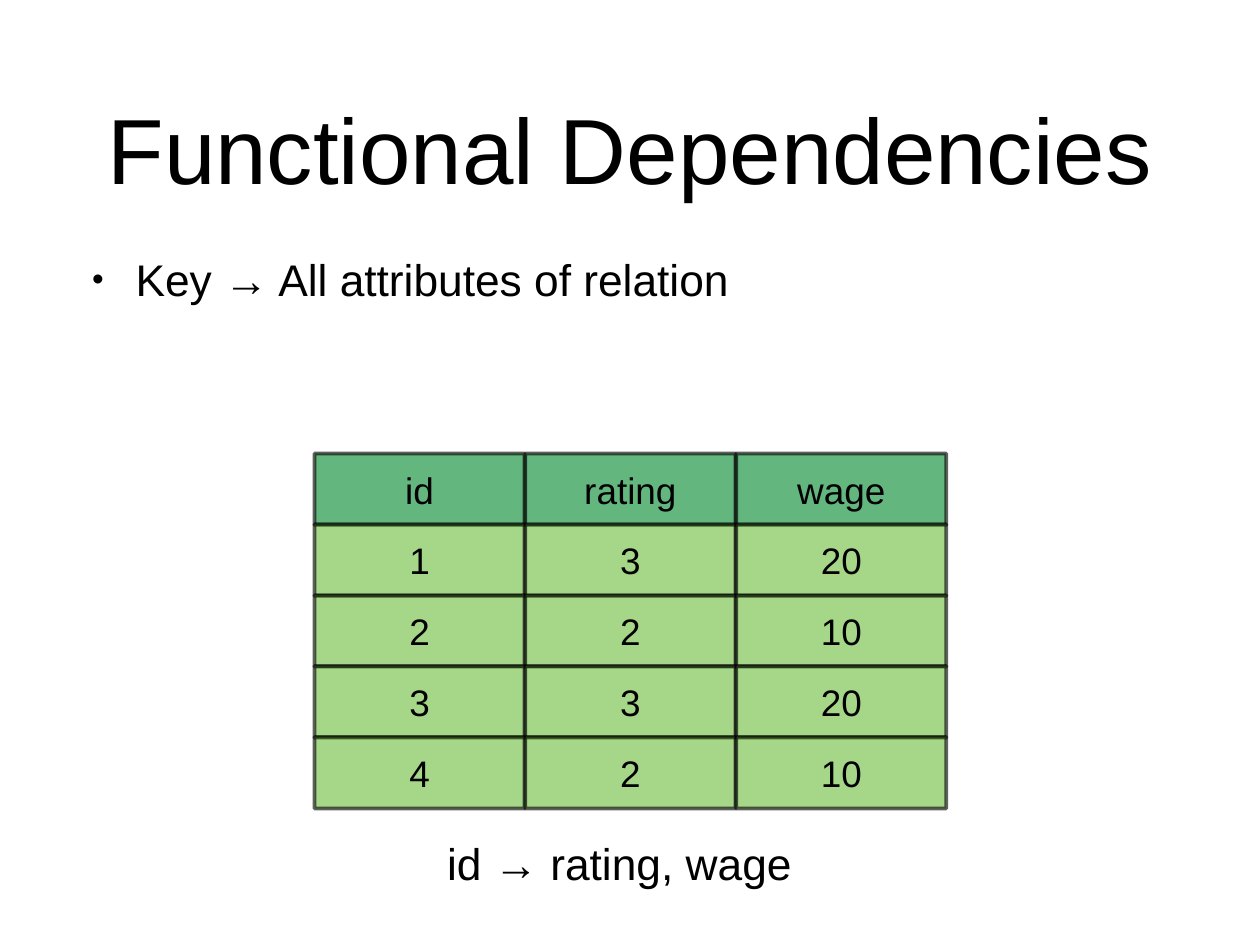
from lxml import etree
from pptx import Presentation
from pptx.dml.color import RGBColor
from pptx.enum import shapes, text
from pptx.oxml import ns
from pptx.util import Inches, Pt

FONT = "Arial"
BLACK = "000000"
HEADER_GREEN = "00882B"
ROW_GREEN = "70BF41"
GRID_LEFT, GRID_TOP = 3.55, 5.12
COLUMN_STEP, ROW_STEP = 2.38, 0.8
CELL_WIDTH, CELL_HEIGHT = 2.37, 0.81
RELATION = [
    ("id", "rating", "wage"),
    ("1", "3", "20"),
    ("2", "2", "10"),
    ("3", "3", "20"),
    ("4", "2", "10"),
]


def paint(fill, hex_value, opacity=100):
    fill.solid()
    fill.fore_color.rgb = RGBColor.from_string(hex_value)
    if opacity < 100:
        tint = fill._xPr.find(ns.qn("a:solidFill"))[0]
        etree.SubElement(tint, ns.qn("a:alpha"), val=str(opacity * 1000))


def place(part, left, top, width, height):
    part.left, part.top = Inches(left), Inches(top)
    part.width, part.height = Inches(width), Inches(height)


def write(frame, content, size, align, anchor=text.MSO_ANCHOR.MIDDLE, margin=0):
    frame.margin_left = frame.margin_right = Inches(margin)
    frame.margin_top = frame.margin_bottom = Inches(margin)
    frame.auto_size = text.MSO_AUTO_SIZE.NONE
    frame.vertical_anchor = anchor
    frame.text = content
    paragraph = frame.paragraphs[0]
    paragraph.alignment = align
    font = paragraph.runs[0].font
    font.name, font.size = FONT, Pt(size)
    paint(font.fill, BLACK)
    return paragraph


def add_title(slide, content):
    title = slide.shapes.title
    place(title, 1.04, 0.49, 12.14, 2.36)
    write(title.text_frame, content, 75.2, text.PP_ALIGN.CENTER)


def add_bullet(slide, content):
    body = slide.placeholders[1]
    place(body, 1.04, 2.85, 12.14, 2.07)
    paragraph = write(body.text_frame, content, 36, text.PP_ALIGN.LEFT,
                      text.MSO_ANCHOR.TOP)
    paragraph.space_before = Pt(42)
    properties = paragraph._p.get_or_add_pPr()
    properties.set("marL", str(Inches(0.49)))
    properties.set("indent", str(Inches(-0.49)))
    etree.SubElement(properties, ns.qn("a:buSzPct")).set("val", "75000")
    etree.SubElement(properties, ns.qn("a:buChar")).set("char", "•")


def add_cell(group, left, top, value, green, opacity):
    cell = group.shapes.add_shape(
        shapes.MSO_SHAPE.RECTANGLE, Inches(left), Inches(top),
        Inches(CELL_WIDTH), Inches(CELL_HEIGHT))
    cell.shadow.inherit = False
    paint(cell.fill, green, opacity)
    cell.line.width = Pt(3)
    paint(cell.line.fill, BLACK, opacity)
    write(cell.text_frame, value, 30, text.PP_ALIGN.CENTER)


def add_relation(slide, rows):
    group = slide.shapes.add_group_shape()
    for row, values in enumerate(rows):
        green, opacity = (ROW_GREEN, 62) if row else (HEADER_GREEN, 61)
        for column, value in enumerate(values):
            add_cell(group, GRID_LEFT + column * COLUMN_STEP,
                     GRID_TOP + row * ROW_STEP, value, green, opacity)


def add_caption(slide, content):
    caption = slide.shapes.add_textbox(
        Inches(4.94), Inches(9.38), Inches(4.24), Inches(0.72))
    frame = caption.text_frame
    write(frame, content, 36, text.PP_ALIGN.CENTER, margin=0.06)
    frame.word_wrap = False
    frame.auto_size = text.MSO_AUTO_SIZE.SHAPE_TO_FIT_TEXT


def main():
    deck = Presentation()
    deck.slide_width, deck.slide_height = Inches(14.22), Inches(10.67)
    slide = deck.slides.add_slide(deck.slide_layouts[1])
    add_title(slide, "Functional Dependencies")
    add_bullet(slide, "Key → All attributes of relation")
    add_relation(slide, RELATION)
    add_caption(slide, "id → rating, wage ")
    deck.save("out.pptx")


if __name__ == "__main__":
    main()
